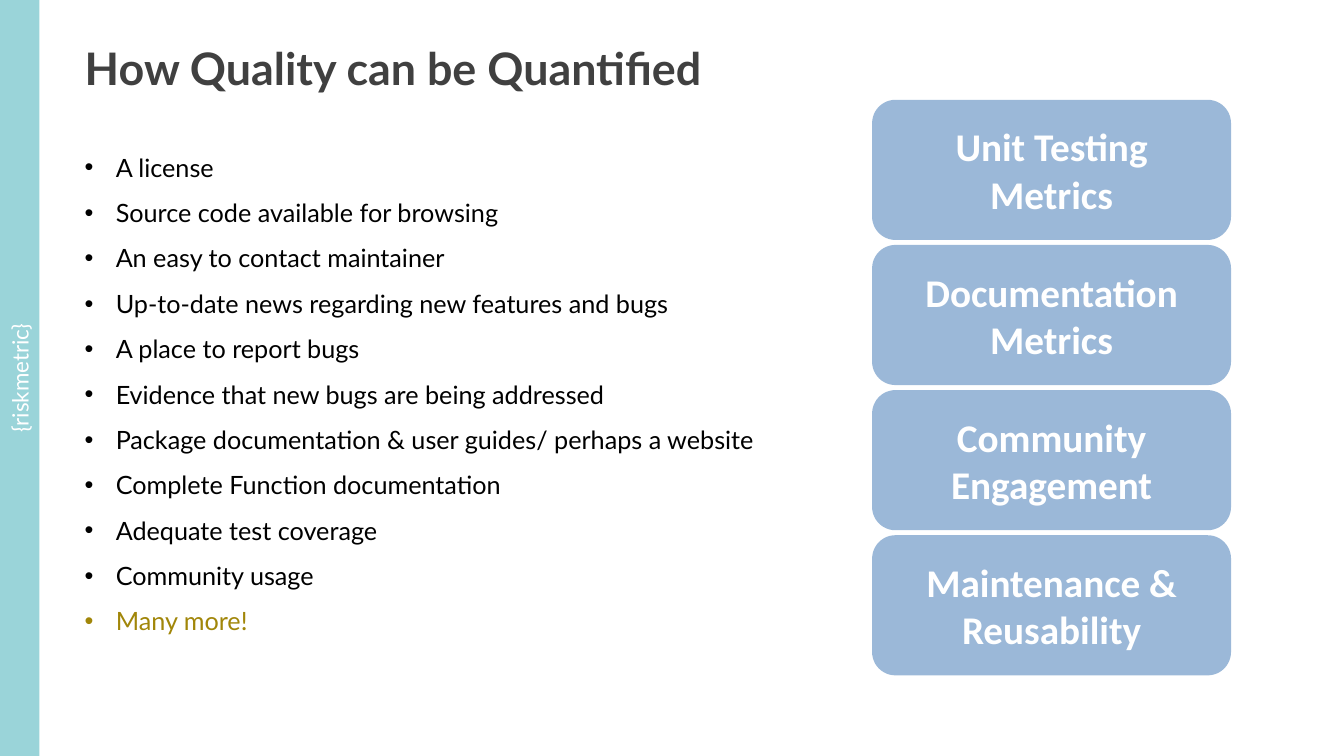
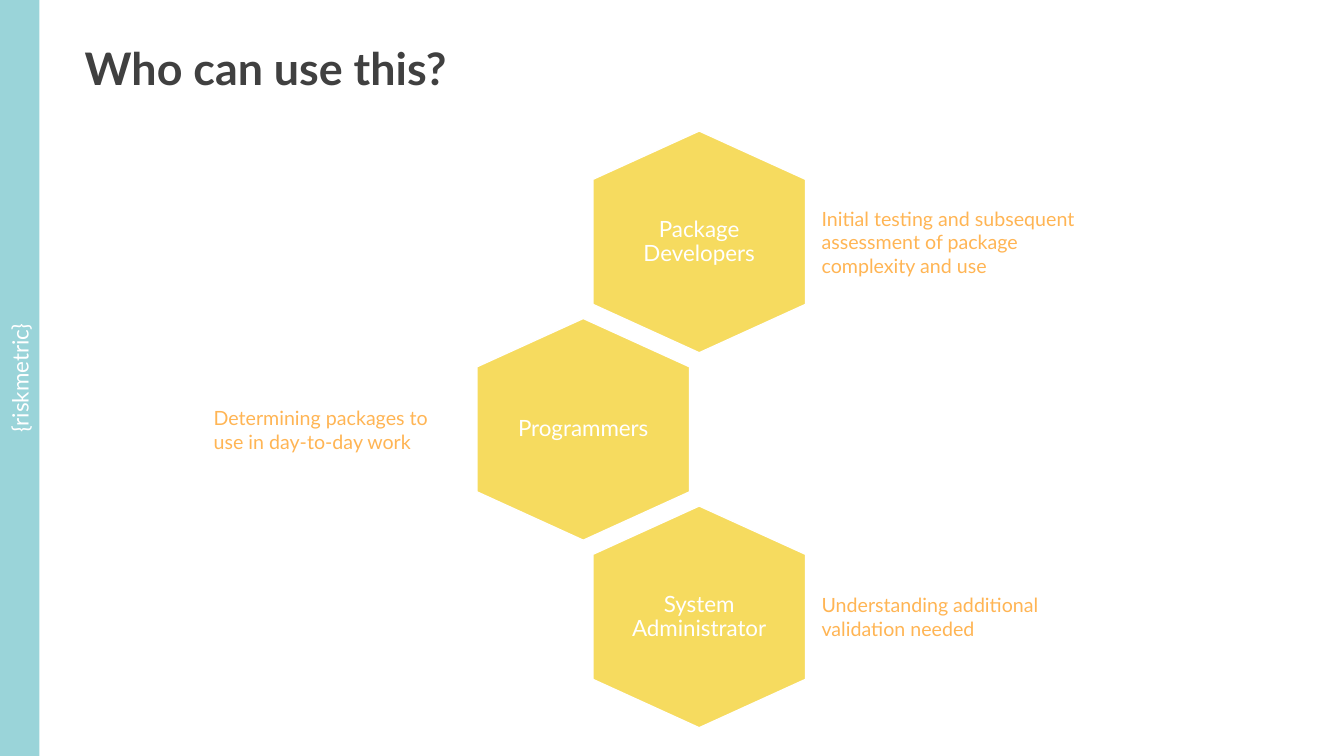
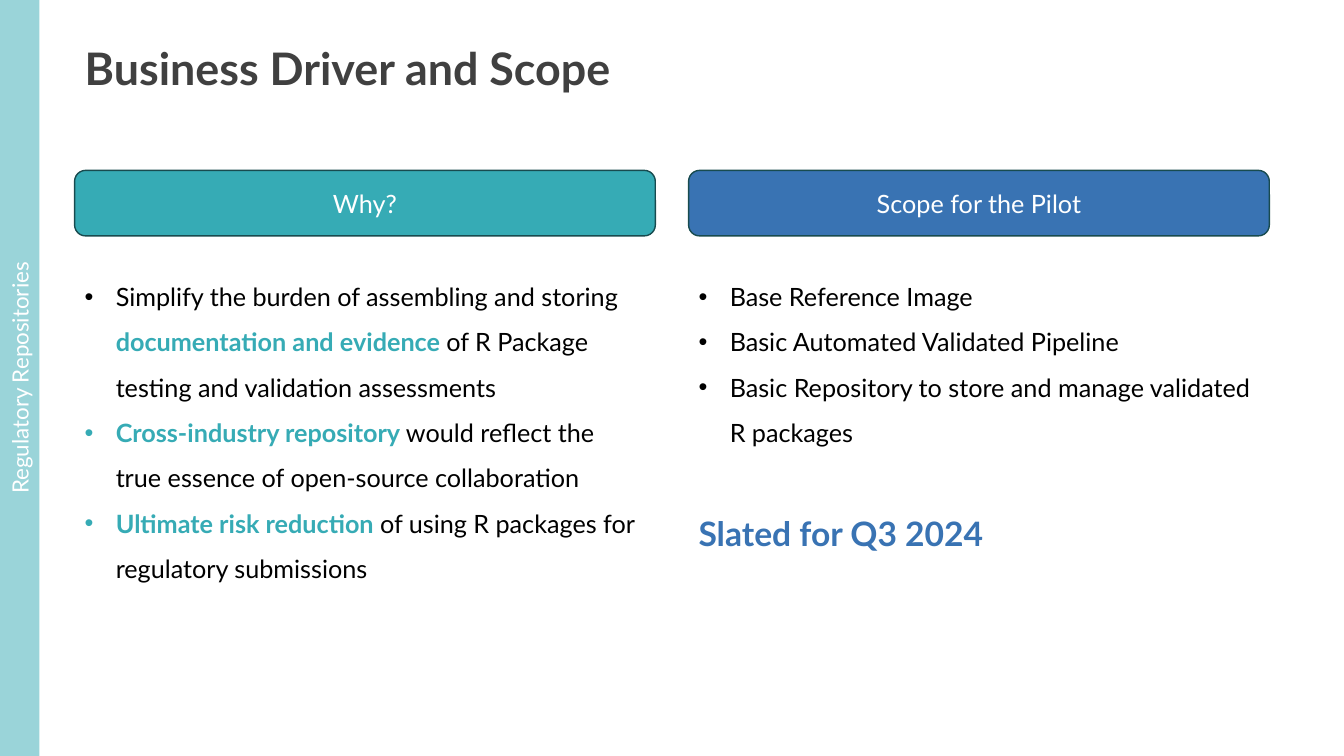
"""Build three slides on package quality, its users and a pilot's scope."""
import dataclasses
import typing

import lxml.etree
import pptx
import pptx.dml.color
import pptx.enum.shapes
import pptx.enum.text
import pptx.oxml.ns
import pptx.util

Inches = pptx.util.Inches
Pt = pptx.util.Pt
qn = pptx.oxml.ns.qn
Forms = pptx.enum.shapes.MSO_SHAPE
Align = pptx.enum.text.PP_ALIGN
Anchor = pptx.enum.text.MSO_ANCHOR

HUES = {
    "ink": "000000",
    "title": "404040",
    "white": "FFFFFF",
    "teal": "36ABB5",
    "blue": "3973B3",
    "edge": "184B4F",
    "olive": "A18609",
    "yellow": "F6DB5F",
    "orange": "FFB554",
}


class Box(typing.NamedTuple):
    left: float
    top: float
    width: float
    height: float

    def lengths(self) -> list:
        return [Inches(side) for side in self]


@dataclasses.dataclass
class Style:
    size: float = 18
    hue: str = "ink"
    bold: bool = False
    face: str = "Lato"


@dataclasses.dataclass
class Para:
    runs: list[tuple[str, Style]]
    align: Align = Align.LEFT
    space: float = 1.0
    before: float = 0
    bullet: bool = False


@dataclasses.dataclass
class User:
    name: str
    left: float
    task: str
    note: float
    width: float


PLAIN = Style()
TITLE = Style(32, "title", True)
BAND = Style(16, "white")
CARD = Style(28, "white", True, "Calibri")
HEAD = Style(18, "white")
HEX = Style(16, "white")
NOTE = Style(14, "orange")
STRONG = Style(18, "teal", True)
DATE = Style(24, "blue", True)

NEEDS = [
    "A license",
    "Source code available for browsing",
    "An easy to contact maintainer",
    "Up-to-date news regarding new features and bugs",
    "A place to report bugs",
    "Evidence that new bugs are being addressed",
    "Package documentation & user guides/ perhaps a website",
    "Complete Function documentation",
    "Adequate test coverage",
    "Community usage",
]
CARDS = [
    "Unit Testing Metrics",
    "Documentation Metrics",
    "Community Engagement",
    "Maintenance & Reusability",
]
USERS = [
    User("Package Developers", 5.88,
         "Initial testing and subsequent assessment of package complexity and use", 8.05, 2.71),
    User("Programmers", 4.73, "Determining packages to use in day-to-day work", 2.02, 2.62),
    User("System Administrator", 5.88, "Understanding additional validation needed", 8.05, 2.71),
]
REASONS = [
    [("Simplify the burden of assembling and storing ", PLAIN),
     ("documentation and evidence ", STRONG),
     ("of R Package testing and validation assessments", PLAIN)],
    [("Cross-industry repository ", STRONG),
     ("would reflect the true essence of open-source collaboration", PLAIN)],
    [("Ultimate risk reduction ", STRONG),
     ("of using R packages for regulatory submissions", PLAIN)],
]
SCOPE = [
    "Base Reference Image",
    "Basic Automated Validated Pipeline",
    "Basic Repository to store and manage validated R packages",
]


def paint(hue: str) -> pptx.dml.color.RGBColor:
    return pptx.dml.color.RGBColor.from_string(HUES[hue])


def apply(target: typing.Any, values: dict) -> None:
    for name, value in values.items():
        setattr(target, name, value)


def write(frame: typing.Any, paras: list[Para], anchor: Anchor = Anchor.TOP,
          inset: tuple[float, float] = (0.1, 0.05)) -> None:
    side, end = map(Inches, inset)
    apply(frame, {
        "word_wrap": True,
        "auto_size": pptx.enum.text.MSO_AUTO_SIZE.NONE,
        "vertical_anchor": anchor,
        "margin_left": side, "margin_right": side,
        "margin_top": end, "margin_bottom": end,
    })
    for rank, para in enumerate(paras):
        line = frame.add_paragraph() if rank else frame.paragraphs[0]
        apply(line, {"alignment": para.align, "line_spacing": para.space})
        if para.before:
            line.space_before = Pt(para.before)
        if para.bullet:
            props = line._p.get_or_add_pPr()
            props.set("marL", str(Inches(0.31)))
            props.set("indent", str(Inches(-0.31)))
            lxml.etree.SubElement(props, qn("a:buFont")).set("typeface", "Arial")
            lxml.etree.SubElement(props, qn("a:buChar")).set("char", "•")
        for text, style in para.runs:
            run = line.add_run()
            run.text = text
            apply(run.font, {"name": style.face, "size": Pt(style.size), "bold": style.bold})
            run.font.color.rgb = paint(style.hue)


def center(text: str, style: Style, space: float = 1.0) -> list[Para]:
    return [Para([(text, style)], Align.CENTER, space)]


def point(runs: list[tuple[str, Style]]) -> Para:
    return Para(runs, space=1.5, bullet=True)


def dress(shape: typing.Any, fill: str, edge: str = "", clear: bool = False) -> None:
    shape.shadow.inherit = False
    shape.fill.solid()
    shape.fill.fore_color.rgb = paint(fill)
    if clear:
        tone = shape._element.spPr.find(".//" + qn("a:srgbClr"))
        lxml.etree.SubElement(tone, qn("a:alpha")).set("val", "50000")
    if edge:
        shape.line.color.rgb = paint(edge)
        shape.line.width = Pt(1)
    else:
        shape.line.fill.background()


def block(slide: typing.Any, form: Forms, box: Box, fill: str, edge: str = "",
          clear: bool = False) -> typing.Any:
    shape = slide.shapes.add_shape(form, *box.lengths())
    dress(shape, fill, edge, clear)
    return shape


def label(slide: typing.Any, box: Box, paras: list[Para], anchor: Anchor = Anchor.TOP) -> None:
    write(slide.shapes.add_textbox(*box.lengths()).text_frame, paras, anchor)


def start(deck: typing.Any, title: str, topic: str) -> typing.Any:
    slide = deck.slides.add_slide(deck.slide_layouts[5])
    head = slide.shapes.title
    apply(head, dict(zip(("left", "top", "width", "height"),
                         Box(0.74, 0.35, 12.23, 0.64).lengths())))
    write(head.text_frame, [Para([(title, TITLE)])])
    band = block(slide, Forms.RECTANGLE, Box(0, 0, 0.39, 7.5), "teal", clear=True)
    write(band.text_frame, center(topic, BAND), Anchor.MIDDLE)
    band.text_frame._txBody.bodyPr.set("vert", "vert270")
    return slide


def hexagon(slide: typing.Any, box: Box, text: str) -> None:
    left, top, width, height = box.lengths()
    rise = Inches(0.48)
    mid, right, base = left + width // 2, left + width, top + height
    path = slide.shapes.build_freeform(mid, top)
    path.add_line_segments([(right, top + rise), (right, base - rise), (mid, base),
                            (left, base - rise), (left, top + rise)], close=True)
    shape = path.convert_to_shape()
    dress(shape, "yellow", "white")
    write(shape.text_frame, center(text, HEX, 0.9), Anchor.MIDDLE, (0.35, 0.4))


def quality(deck: typing.Any) -> None:
    slide = start(deck, "How Quality can be Quantified", "{riskmetric}")
    items = [point([(need, PLAIN)]) for need in NEEDS]
    items.append(point([("Many more!", Style(hue="olive"))]))
    label(slide, Box(0.74, 1.31, 7.43, 5.04), items)
    for rank, text in enumerate(CARDS):
        box = Box(8.65, 0.99 + 1.44 * rank, 3.56, 1.39)
        card = block(slide, Forms.ROUNDED_RECTANGLE, box, "blue", clear=True)
        write(card.text_frame, center(text, CARD), Anchor.MIDDLE, (0.25, 0.05))


def users(deck: typing.Any) -> None:
    slide = start(deck, "Who can use this?", "{riskmetric}")
    for rank, user in enumerate(USERS):
        top = 1.3 + 1.86 * rank
        hexagon(slide, Box(user.left, top, 2.11, 2.2), user.name)
        label(slide, Box(user.note, top + 0.44, user.width, 1.32),
              [Para([(user.task, NOTE)])], Anchor.MIDDLE)


def scope(deck: typing.Any) -> None:
    slide = start(deck, "Business Driver and Scope", "Regulatory Repositories")
    goals = [point([(text, PLAIN)]) for text in SCOPE]
    goals.append(Para([("Slated for Q3 2024", DATE)], space=1.5, before=32))
    sides = [
        (0.74, "Why?", "teal", [point(runs) for runs in REASONS]),
        (6.83, "Scope for the Pilot", "blue", goals),
    ]
    for left, text, fill, paras in sides:
        head = block(slide, Forms.ROUNDED_RECTANGLE, Box(left, 1.69, 5.76, 0.65), fill, "edge")
        write(head.text_frame, center(text, HEAD), Anchor.MIDDLE)
        label(slide, Box(left, 2.59, 5.76, 3.22), paras)


def main() -> None:
    deck = pptx.Presentation()
    apply(deck, {"slide_width": Inches(13.33), "slide_height": Inches(7.5)})
    for build in (quality, users, scope):
        build(deck)
    deck.save("out.pptx")


if __name__ == "__main__":
    main()
